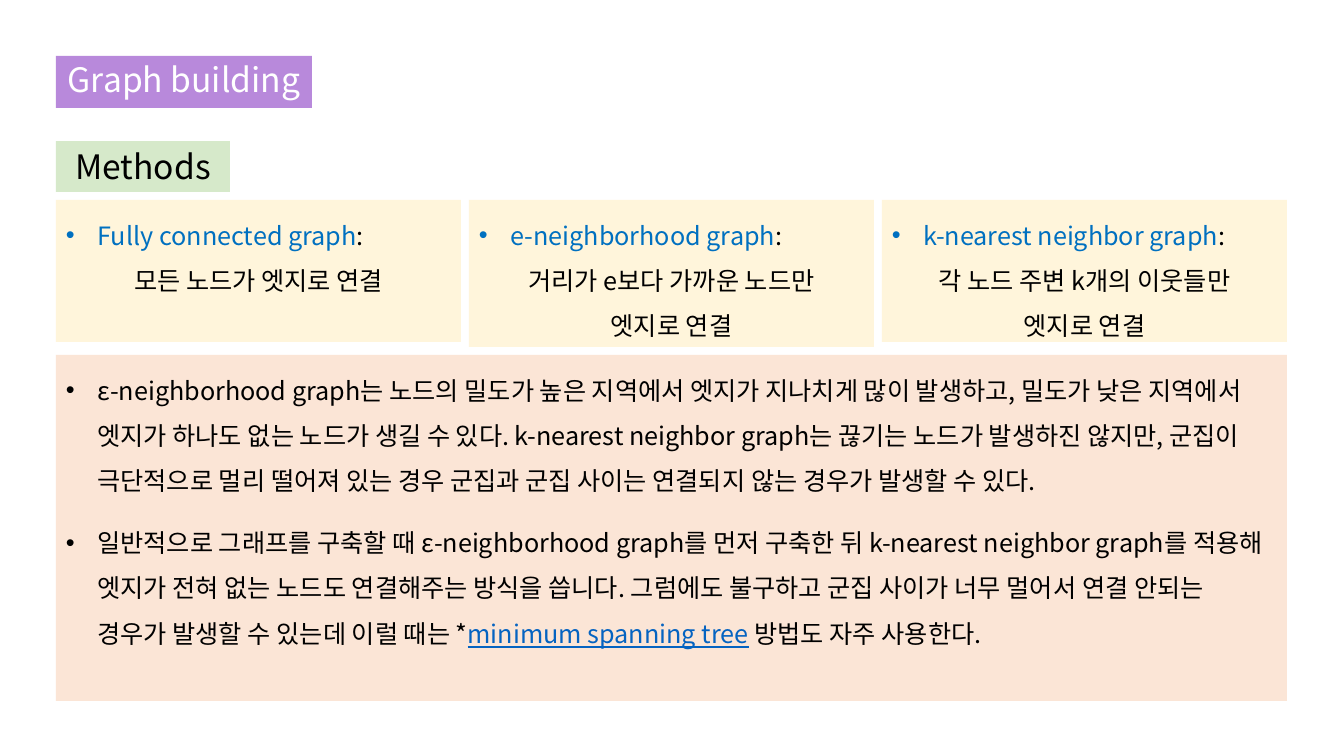
import pptx
import pptx.util
import pptx.dml.color
import pptx.enum.shapes
import pptx.enum.text
import pptx.oxml.ns
import lxml.etree

PX = 914400 / 100.8
FONT = "Noto Sans CJK KR"
COLORS = {
    "title": "B889DB", "heading": "C5E0B4", "card": "FFF2CC", "notes": "FBE5D6",
    "white": "FFFFFF", "black": "000000", "term": "0070C0", "accent": "0563C1",
}
ALIGN = pptx.enum.text.PP_ALIGN
ANCHOR = pptx.enum.text.MSO_ANCHOR


def emu(px):
    return round(px * PX)


def rgb(name):
    return pptx.dml.color.RGBColor.from_string(COLORS[name])


def sub(parent, tag, **attrs):
    return lxml.etree.SubElement(parent, pptx.oxml.ns.qn(tag), attrs)


def add_box(s, box, fill, alpha=None, anchor=ANCHOR.TOP):
    sp = s.shapes.add_shape(pptx.enum.shapes.MSO_SHAPE.RECTANGLE, *map(emu, box))
    sp.shadow.inherit = False
    sp.fill.solid()
    sp.fill.fore_color.rgb = rgb(fill)
    if alpha:
        color = sp.fill._xPr.find(".//" + pptx.oxml.ns.qn("a:srgbClr"))
        sub(color, "a:alpha", val=str(alpha * 1000))
    sp.line.fill.background()
    tf = sp.text_frame
    tf.word_wrap = True
    tf.vertical_anchor = anchor
    return tf


def add_paragraph(tf, runs, first=False, size=18, spacing=1.5, bullet=False, after=0):
    """Add a paragraph of (text, colour) runs, bulleted or centred."""
    p = tf.paragraphs[0] if first else tf.add_paragraph()
    p.alignment = ALIGN.LEFT if bullet else ALIGN.CENTER
    p.line_spacing = spacing
    p.space_after = pptx.util.Pt(after)
    if bullet:
        pPr = p._p.get_or_add_pPr()
        pPr.set("marL", "285750")
        pPr.set("indent", "-285750")
        sub(pPr, "a:buFont", typeface="Arial")
        sub(pPr, "a:buChar", char="•")
    for text, color in runs:
        r = p.add_run()
        r.text = text
        r.font.size = pptx.util.Pt(size)
        r.font.name = FONT
        r.font.color.rgb = rgb(color)
        r.font.underline = color == "accent"
        sub(r._r.get_or_add_rPr(), "a:ea", typeface=FONT)


def add_label(s, box, text, fill, color, alpha=None, spacing=1.0):
    tf = add_box(s, box, fill, alpha, ANCHOR.MIDDLE)
    add_paragraph(tf, [(text, color)], first=True, size=24, spacing=spacing)


def add_cards(s, box, cards, gap):
    left, top, width, height = box
    card_w = (width - gap * (len(cards) - 1)) // len(cards)
    for i, (term, lines, extra) in enumerate(cards):
        card = (left + i * (card_w + gap), top, card_w, height + extra)
        tf = add_box(s, card, "card", 70)
        add_paragraph(tf, [(term, "term"), (":", "black")], first=True, bullet=True)
        for line in lines:
            add_paragraph(tf, [(line, "black")])


def add_notes(s, box, notes):
    tf = add_box(s, box, "notes")
    for i, runs in enumerate(notes):
        after = 11.5 if i < len(notes) - 1 else 0
        add_paragraph(tf, runs, first=i == 0, bullet=True, after=after)


CARDS = [  # term, explanation lines, extra height
    ("Fully connected graph", ["모든 노드가 엣지로 연결"], 0),
    ("e-neighborhood graph", ["거리가 e보다 가까운 노드만", "엣지로 연결"], 5),
    ("k-nearest neighbor graph", ["각 노드 주변 k개의 이웃들만", "엣지로 연결"], 0),
]
NOTES = [
    [("ε-neighborhood graph는 노드의 밀도가 높은 지역에서 엣지가 지나치게 많이 발생하고, "
      "밀도가 낮은 지역에서 엣지가 하나도 없는 노드가 생길 수 있다. "
      "k-nearest neighbor graph는 끊기는 노드가 발생하진 않지만, "
      "군집이 극단적으로 멀리 떨어져 있는 경우 군집과 군집 사이는 연결되지 않는 경우가 "
      "발생할 수 있다.", "black")],
    [("일반적으로 그래프를 구축할 때 ε-neighborhood graph를 먼저 구축한 뒤 "
      "k-nearest neighbor graph를 적용해 엣지가 전혀 없는 노드도 연결해주는 방식을 씁니다. "
      "그럼에도 불구하고 군집 사이가 너무 멀어서 연결 안되는 경우가 발생할 수 있는데 "
      "이럴 때는\u00a0*", "black"),
     ("minimum spanning tree", "accent"),
     ("\u00a0방법도 자주 사용한다.", "black")],
]

prs = pptx.Presentation()
prs.slide_width = emu(1344)
prs.slide_height = emu(756)
s = prs.slides.add_slide(prs.slide_layouts[6])

# Title and section heading
add_label(s, (56, 56, 256, 52), "Graph building", "title", "white", spacing=0.9)
add_label(s, (56, 141, 174, 51), "Methods", "heading", "black", alpha=70)

# Notes and the three methods
add_notes(s, (56, 355, 1231, 346), NOTES)
add_cards(s, (56, 200, 1231, 142), CARDS, gap=8)

prs.save("out.pptx")
